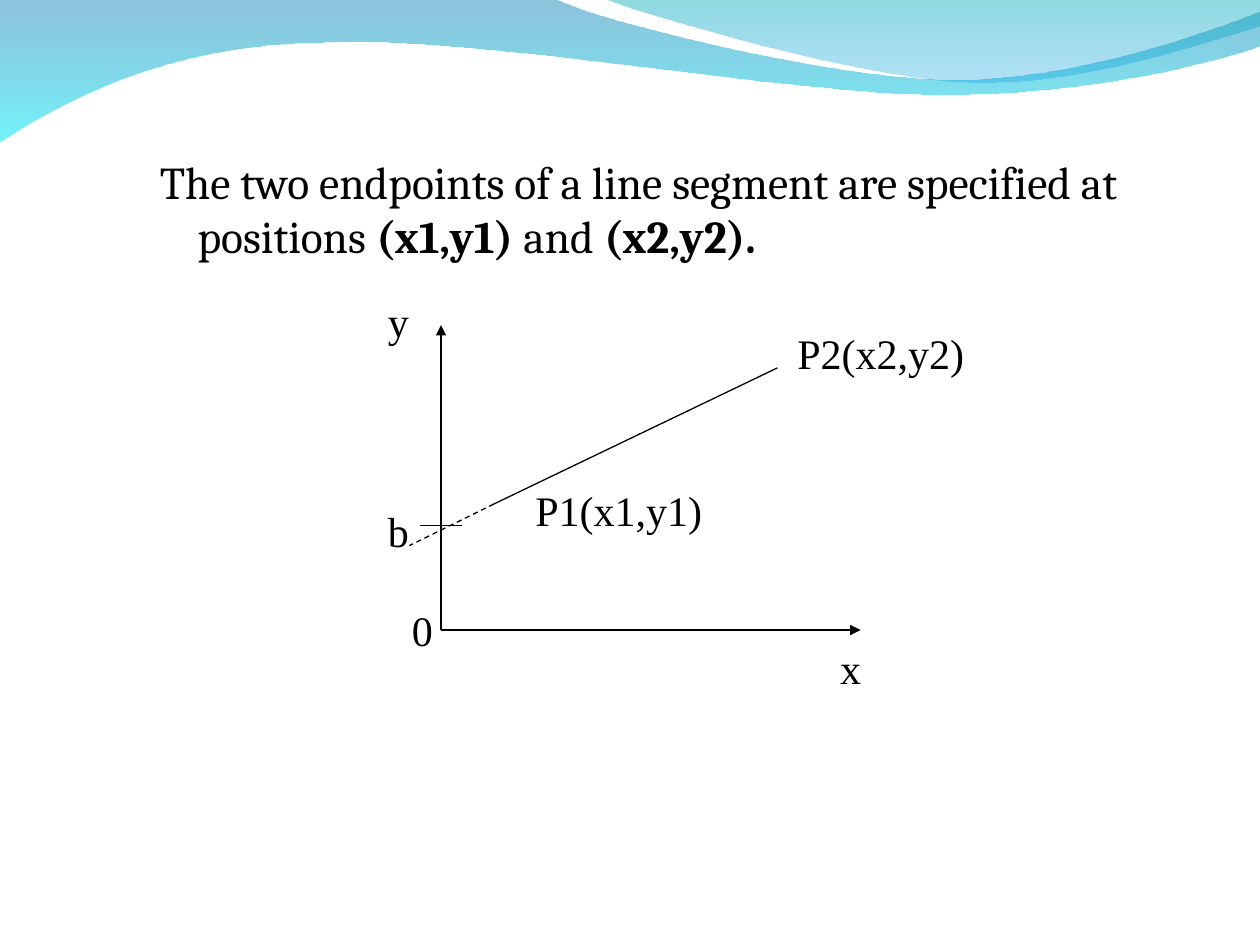
from pptx import Presentation
from pptx.dml.color import RGBColor
from pptx.enum.dml import MSO_LINE_DASH_STYLE as Dash
from pptx.enum.shapes import MSO_CONNECTOR as Connector
from pptx.enum.text import MSO_AUTO_SIZE as AutoSize
from pptx.oxml.ns import qn
from pptx.util import Inches, Pt
from lxml.etree import SubElement

BLACK = RGBColor(0x00, 0x00, 0x00)
DEEP_BLUE = RGBColor(0x00, 0x79, 0xAF)
AQUA = RGBColor(0x00, 0xEB, 0xF8)
TEAL = RGBColor(0x00, 0xAD, 0xB6)
SKY_BLUE = RGBColor(0x00, 0x9B, 0xE5)
ORIGIN = (3.5, 5)
P1 = (3.92, 4)
P2 = (6.17, 2.92)


def bend(outline, edges):
    """Turn each three straight steps of a curved edge into one cubic Bezier."""
    steps = iter(outline.findall(qn("a:lnTo")))
    for edge in edges:
        edge_steps = [next(steps) for _ in edge]
        if len(edge) == 1:
            continue
        for first in range(0, len(edge), 3):
            group = edge_steps[first:first + 3]
            bezier = SubElement(outline, qn("a:cubicBezTo"))
            group[0].addprevious(bezier)
            for step in group:
                bezier.append(step[0])
                outline.remove(step)


def add_span(para, text, *, font, size, bold=False, color=BLACK):
    span = para.add_run()
    span.text = text
    span.font.name = font
    span.font.size = Pt(size)
    span.font.bold = bold
    span.font.color.rgb = color


class Painter:
    body_font = "Cambria"
    label_font = "Times New Roman"
    body_size = 26
    label_size = 24
    line_width = Pt(0.75)

    def __init__(self, page):
        self.page = page

    def wave(self, start, edges, stops):
        """Draw a closed outline with a translucent top-to-bottom gradient.

        An edge of one point is straight; a longer one holds Bezier points.
        """
        builder = self.page.shapes.build_freeform(*map(Inches, start))
        builder.add_line_segments(
            [(Inches(x), Inches(y)) for edge in edges for x, y in edge])
        shape = builder.convert_to_shape()
        properties = shape._element.spPr
        bend(next(properties.iter(qn("a:path"))), edges)
        shape.shadow.inherit = False
        shape.line.fill.background()
        shape.fill.gradient()
        shape.fill.gradient_angle = 270
        for stop, (color, _) in zip(shape.fill.gradient_stops, stops):
            stop.color.rgb = color
        colors = list(properties.iter(qn("a:srgbClr")))
        for element, (_, opacity) in zip(colors, stops):
            SubElement(element, qn("a:alpha"), val=str(opacity * 1000))

    def line(self, start, end, dash=None, arrow=None):
        """Draw a line; arrow is headEnd, tailEnd or None."""
        connector = self.page.shapes.add_connector(
            Connector.STRAIGHT, *map(Inches, start + end))
        connector.line.color.rgb = BLACK
        connector.line.width = self.line_width
        if dash:
            connector.line.dash_style = dash
        properties = connector._element.spPr
        if arrow:
            SubElement(properties.find(qn("a:ln")), qn(f"a:{arrow}"), type="triangle")
        SubElement(properties, qn("a:effectLst"))

    def label(self, text, left, top, width=0.36):
        box = self.page.shapes.add_textbox(*map(Inches, (left, top, width, 0.5)))
        frame = box.text_frame
        frame.word_wrap = False
        frame.auto_size = AutoSize.SHAPE_TO_FIT_TEXT
        add_span(frame.paragraphs[0], text, font=self.label_font, size=self.label_size)

    def body(self, spans, left, top, width, height):
        """Write one paragraph with a hanging indent from (text, bold) pairs."""
        box = self.page.shapes.add_textbox(*map(Inches, (left, top, width, height)))
        box.text_frame.word_wrap = True
        para = box.text_frame.paragraphs[0]
        properties = para._p.get_or_add_pPr()
        properties.set("marL", str(Inches(0.3)))
        properties.set("indent", str(Inches(-0.3)))
        for text, bold in spans:
            add_span(para, text, font=self.body_font, size=self.body_size, bold=bold)


def main():
    deck = Presentation()
    deck.slide_width, deck.slide_height = Inches(10), Inches(7.5)
    painter = Painter(deck.slides.add_slide(deck.slide_layouts[6]))

    upper_edge = [(4.76, 0.17), (6.64, 0.63), (7.58, 0.63),
                  (8.53, 0.63), (9.58, 0.26), (10, 0.09)]
    lower_edge = [(9.83, 0.44), (8.7, 0.76), (7.46, 0.75),
                  (6.22, 0.75), (3.82, 0.28), (2.57, 0.34),
                  (1.29, 0.35), (0.46, 0.83), (-0.01, 1.13)]
    painter.wave((0, -0.01), [[(4.4, -0.01)], upper_edge, [(10.01, 0.36)], lower_edge],
                 [(DEEP_BLUE, 45), (AQUA, 55)])
    right_edge = [(5.09, 0.11), (6.82, 0.62), (7.69, 0.65),
                  (8.56, 0.69), (9.61, 0.32), (10, 0.21)]
    painter.wave((4.79, -0.01), [right_edge, [(10, 0)]], [(TEAL, 45), (SKY_BLUE, 30)])

    painter.body([("The two endpoints of a line segment are specified at positions ", False),
                  ("(x1,y1)", True), (" and ", False), ("(x2,y2).", True)],
                 1.17, 1.17, 8.5, 6)

    painter.line((3.5, 2.58), ORIGIN, arrow="headEnd")
    painter.line(ORIGIN, (6.83, 5), arrow="tailEnd")
    painter.line(P1, P2)
    painter.line(P1, (3.25, 4.33), dash=Dash.DASH)
    painter.line((3.33, 4.17), (3.67, 4.17))

    painter.label("x", 6.57, 5.05)
    painter.label("y", 2.98, 2.3)
    painter.label("b", 2.98, 3.96)
    painter.label("0", 3.17, 4.75)
    painter.label("P1(x1,y1)", 4.15, 3.8, width=1.54)
    painter.label("P2(x2,y2)", 6.23, 2.55, width=1.54)

    deck.save("out.pptx")


if __name__ == "__main__":
    main()
